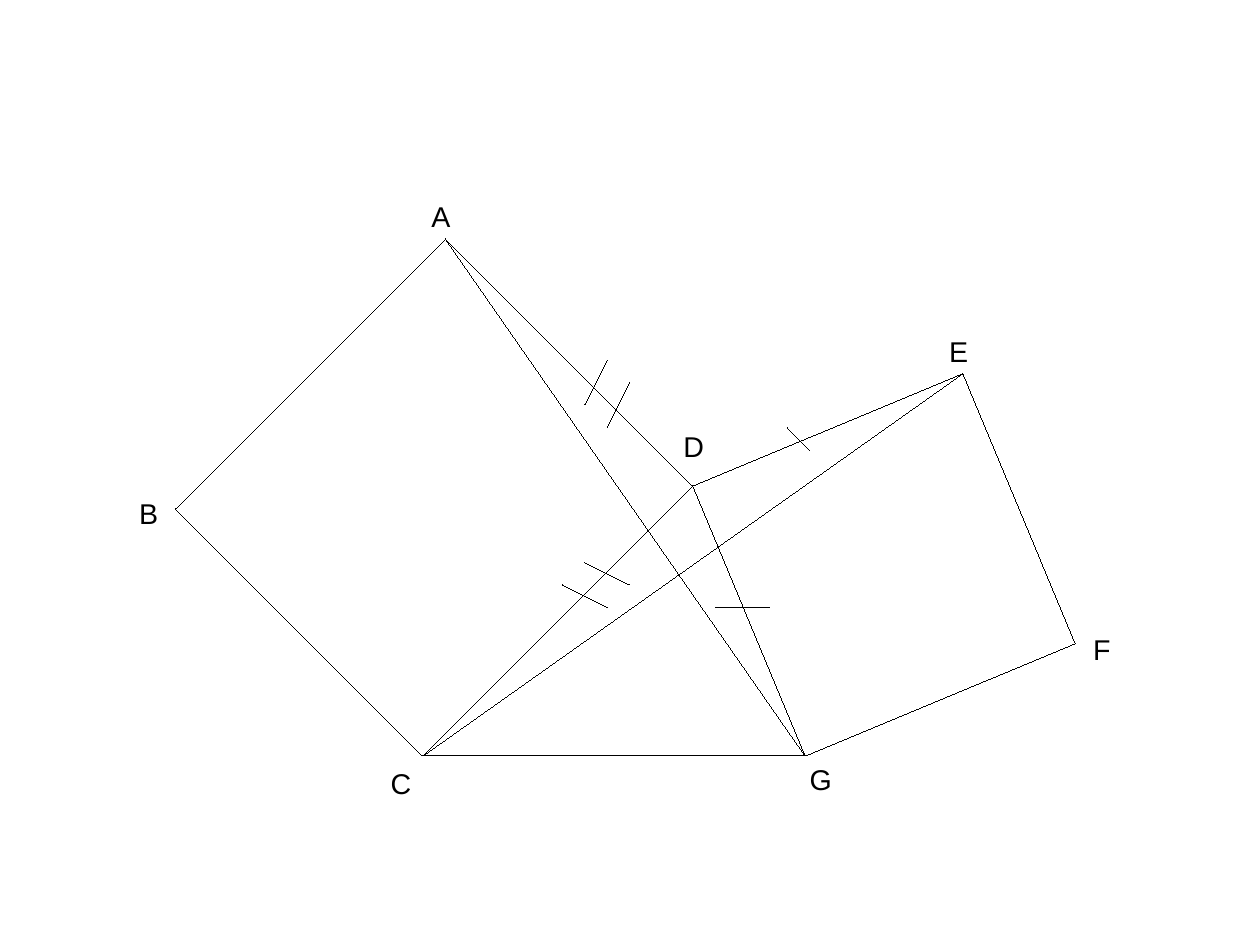
"""Draw two squares on the sides of triangle CDG, with equal sides marked."""
from dataclasses import dataclass

from lxml.etree import SubElement
from pptx import Presentation
from pptx.dml.color import RGBColor
from pptx.enum.shapes import MSO_CONNECTOR
from pptx.enum.text import MSO_AUTO_SIZE
from pptx.oxml.ns import qn
from pptx.util import Pt


@dataclass(frozen=True)
class Theme:
    """Hold the colours and sizes of the figure."""
    ink: RGBColor = RGBColor(0, 0, 0)
    font: str = "Arial"
    label_size: float = 18
    hairline: float = 0.01


THEME = Theme()
VERTICES = {
    "A": (280.6, 150.5),
    "B": (110.5, 320.6),
    "C": (266.4, 476.2),
    "D": (436.5, 306.1),
    "E": (606.6, 235.3),
    "F": (677.4, 405.4),
    "G": (507.3, 476.2),
}
SEGMENTS = "DC DG CG DA CB BA DE GF EF AG CE".split()
LABEL_BOXES = {
    "A": (264.7, 121.7, 25.9),
    "B": (80.6, 308.9, 25.9),
    "C": (239, 478.8, 27.4),
    "D": (423.4, 266.4, 27.4),
    "E": (590.8, 207, 25.9),
    "F": (681.6, 394.2, 25.2),
    "G": (503, 476.3, 28.1),
}
LABEL_HEIGHT = 27.4
TICK_STEP = 14.17
EQUAL_SIDE_TICKS = [
    ((495.9, 269.3), (510.1, 283.5), 1, 0),
    ((484.6, 382.4), (450.5, 382.4), 1, 0),
    ((382.4, 226.8), (368.3, 255.1), 2, TICK_STEP),
    ((354.2, 368.5), (382.5, 382.6), 2, -TICK_STEP),
]


def add_segment(slide, start, end):
    """Draw a hairline between two points."""
    segment = slide.shapes.add_connector(
        MSO_CONNECTOR.STRAIGHT, *map(Pt, start), *map(Pt, end))
    segment.line.color.rgb = THEME.ink
    segment.line.width = Pt(THEME.hairline)
    SubElement(segment._element.spPr, qn("a:effectLst"))


def add_ticks(slide, start, end, count, rise):
    """Draw parallel ticks, each one step right and one rise down."""
    for index in range(count):
        shift_x, shift_y = index * TICK_STEP, index * rise
        add_segment(slide, (start[0] + shift_x, start[1] + shift_y),
                    (end[0] + shift_x, end[1] + shift_y))


def add_vertex_label(slide, letter, left, top, width):
    """Write the letter of a vertex."""
    label = slide.shapes.add_textbox(
        Pt(left), Pt(top), Pt(width), Pt(LABEL_HEIGHT))
    frame = label.text_frame
    frame.text = letter
    frame.word_wrap = False
    frame.auto_size = MSO_AUTO_SIZE.SHAPE_TO_FIT_TEXT
    font = frame.paragraphs[0].runs[0].font
    font.name = THEME.font
    font.size = Pt(THEME.label_size)
    font.color.rgb = THEME.ink


def main():
    """Build and save the slide."""
    presentation = Presentation()
    presentation.slide_width = Pt(793.75)
    presentation.slide_height = Pt(595.25)
    slide = presentation.slides.add_slide(presentation.slide_layouts[6])
    for start, end in SEGMENTS:
        add_segment(slide, VERTICES[start], VERTICES[end])
    for letter, box in LABEL_BOXES.items():
        add_vertex_label(slide, letter, *box)
    for ticks in EQUAL_SIDE_TICKS:
        add_ticks(slide, *ticks)
    presentation.save("out.pptx")


if __name__ == "__main__":
    main()
